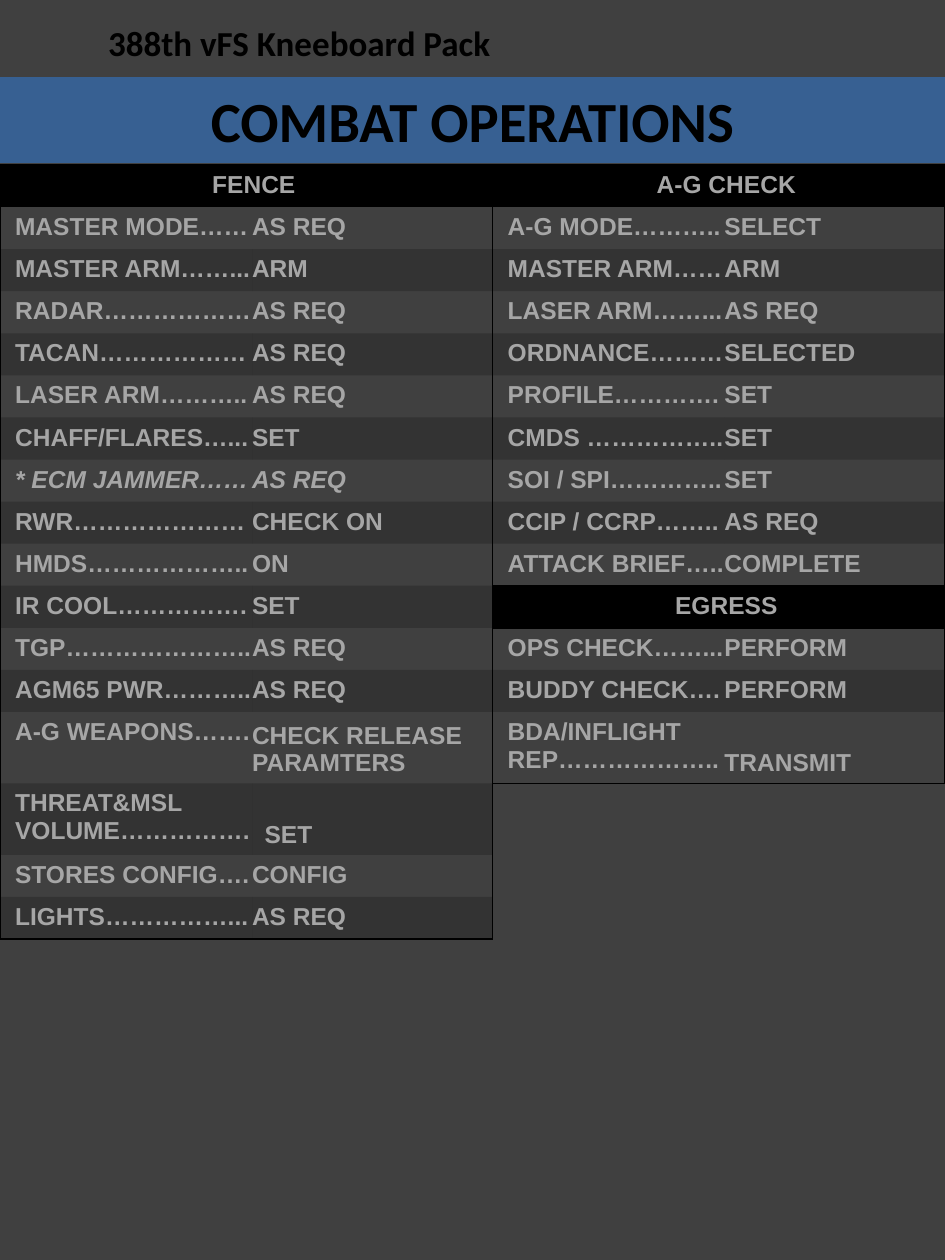
"""Build the combat operations kneeboard slide with its checklists."""
from dataclasses import dataclass

from lxml import etree
from pptx import Presentation
from pptx import util as u
from pptx.dml.color import RGBColor
from pptx.enum import shapes, text
from pptx.oxml.ns import qn

COLUMNS, ROWS = 750, 1000
UNIT = u.Inches(7.5) / COLUMNS
ROW, TALL_ROW = 32.75, 54
INSET, GAP = 12, 5
BLACK, GRAY, BLUE, SLATE = "000000", "A6A6A6", "376092", "404040"
NO_STYLE = "{2D5ABB26-0587-4C30-8999-92F81FD0307C}"


@dataclass(frozen=True)
class Step:
    """One checklist line; a step without an action is a heading."""

    label: str
    action: str = ""
    italic: bool = False
    tall: bool = False
    indent: float = 0


@dataclass(frozen=True)
class Checklist:
    """A two-column checklist placed on the grid."""

    left: float
    widths: tuple[float, float]
    steps: tuple[Step, ...]


CHECKLISTS = (
    Checklist(0, (200, 191), (
        Step("FENCE"),
        Step("MASTER MODE……", "AS REQ"),
        Step("MASTER ARM……...", "ARM"),
        Step("RADAR………………", "AS REQ"),
        Step("TACAN………………", "AS REQ"),
        Step("LASER ARM………..", "AS REQ"),
        Step("CHAFF/FLARES…...", "SET"),
        Step("* ECM JAMMER……", "AS REQ", italic=True),
        Step("RWR…………………", "CHECK ON"),
        Step("HMDS………………..", "ON"),
        Step("IR COOL…………….", "SET"),
        Step("TGP…………………..", "AS REQ"),
        Step("AGM65 PWR………..", "AS REQ"),
        Step("A-G WEAPONS…….", "CHECK RELEASE PARAMTERS", tall=True),
        Step("THREAT&MSL VOLUME…………….", "SET", tall=True, indent=10),
        Step("STORES CONFIG….", "CONFIG"),
        Step("LIGHTS……………...", "AS REQ"),
    )),
    Checklist(391, (184, 175), (
        Step("A-G CHECK"),
        Step("A-G MODE………..", "SELECT"),
        Step("MASTER ARM……", "ARM"),
        Step("LASER ARM……...", "AS REQ"),
        Step("ORDNANCE………", "SELECTED"),
        Step("PROFILE………….", "SET"),
        Step("CMDS ……………..", "SET"),
        Step("SOI / SPI…………..", "SET"),
        Step("CCIP / CCRP……..", "AS REQ"),
        Step("ATTACK BRIEF…..", "COMPLETE"),
        Step("EGRESS"),
        Step("OPS CHECK……...", "PERFORM"),
        Step("BUDDY CHECK….", "PERFORM"),
        Step("BDA/INFLIGHT REP………………..", "TRANSMIT", tall=True),
    )),
)


def grid(count: float) -> u.Emu:
    """Return the length of a number of grid units."""
    return u.Emu(round(count * UNIT))


def paint(fill, color: str) -> None:
    """Give a fill one solid colour."""
    fill.solid()
    fill.fore_color.rgb = RGBColor.from_string(color)


def write(frame, words: str, size: float, font: str, color: str,
          centred: bool = False, italic: bool = False) -> None:
    """Write one bold run into the first paragraph of a frame."""
    frame.word_wrap = True
    paragraph = frame.paragraphs[0]
    paragraph.alignment = text.PP_ALIGN.CENTER if centred else text.PP_ALIGN.LEFT
    run = paragraph.add_run()
    run.text = words
    run.font.size, run.font.name = u.Pt(size), font
    run.font.bold, run.font.italic = True, italic
    run.font.color.rgb = RGBColor.from_string(color)


def draw_borders(cell, sides: str) -> None:
    """Draw one-point black borders on the sides named by L, R, T and B."""
    properties = cell._tc.get_or_add_tcPr()
    for side in sides:
        line = etree.SubElement(properties, qn(f"a:ln{side}"), w=str(u.Pt(1)))
        fill = etree.SubElement(line, qn("a:solidFill"))
        etree.SubElement(fill, qn("a:srgbClr"), val=BLACK)


def shade(cell, heading: bool, banded: bool) -> None:
    """Fill headings black, banded rows with thin black, and others not at all."""
    if not (heading or banded):
        cell.fill.background()
        return
    paint(cell.fill, BLACK)
    if not heading:
        color = cell._tc.tcPr.find(".//" + qn("a:solidFill") + "/" + qn("a:srgbClr"))
        for color in cell._tc.tcPr.findall(qn("a:solidFill") + "/" + qn("a:srgbClr")):
            etree.SubElement(color, qn("a:alpha"), val="20000")


def draw_step(table, index: int, step: Step, closing: bool) -> None:
    """Fill one table row with a step or a heading."""
    heading = not step.action
    label, action = table.cell(index, 0), table.cell(index, 1)
    edges = ("T" if heading else "") + ("B" if closing else "")
    for cell, side in ((label, "LR" if heading else "L"), (action, "R")):
        draw_borders(cell, side + edges)
        shade(cell, heading, index % 2 == 0)
        cell.margin_top = cell.margin_bottom = grid(GAP)
    label.margin_left, label.margin_right = grid(INSET), 0
    action.margin_left, action.margin_right = grid(step.indent), grid(INSET)
    if heading:
        label.merge(action)
    else:
        write(action.text_frame, step.action, 14, "Arial", GRAY, italic=step.italic)
        if step.tall:
            action.vertical_anchor = text.MSO_ANCHOR.BOTTOM
    write(label.text_frame, step.label, 14, "Arial", GRAY, heading, step.italic)


def draw_checklist(slide, checklist: Checklist) -> None:
    """Draw a checklist as a table below the title."""
    steps = checklist.steps
    heights = [TALL_ROW if step.tall else ROW for step in steps]
    table = slide.shapes.add_table(
        len(steps), 2, grid(checklist.left), grid(131),
        grid(sum(checklist.widths)), grid(sum(heights))).table
    table.first_row = table.horz_banding = False
    table._tbl.tblPr.find(qn("a:tableStyleId")).text = NO_STYLE
    for column, width in zip(table.columns, checklist.widths):
        column.width = grid(width)
    for index, (step, height) in enumerate(zip(steps, heights)):
        table.rows[index].height = grid(height)
        following = steps[index + 1:index + 2]
        draw_step(table, index, step, not following or not following[0].action)


def draw_header(slide) -> None:
    """Draw the pack name and the title band."""
    name = slide.shapes.add_textbox(grid(76), 0, grid(441), grid(67))
    name.text_frame.vertical_anchor = text.MSO_ANCHOR.MIDDLE
    write(name.text_frame, "388th vFS Kneeboard Pack", 20, "Calibri", BLACK)
    band = slide.shapes.add_shape(
        shapes.MSO_SHAPE.RECTANGLE, 0, grid(62), grid(COLUMNS), grid(67))
    band.shadow.inherit = False
    paint(band.fill, BLUE)
    paint(band.line.fill, BLUE)
    band.line.width = u.Pt(0.75)
    band.text_frame.vertical_anchor = text.MSO_ANCHOR.MIDDLE
    write(band.text_frame, "COMBAT OPERATIONS", 32.4, "Calibri", BLACK, centred=True)


def main() -> None:
    """Build and save the slide."""
    presentation = Presentation()
    presentation.slide_width, presentation.slide_height = grid(COLUMNS), grid(ROWS)
    slide = presentation.slides.add_slide(presentation.slide_layouts[6])
    paint(slide.background.fill, SLATE)
    draw_header(slide)
    for checklist in CHECKLISTS:
        draw_checklist(slide, checklist)
    presentation.save("out.pptx")


if __name__ == "__main__":
    main()
